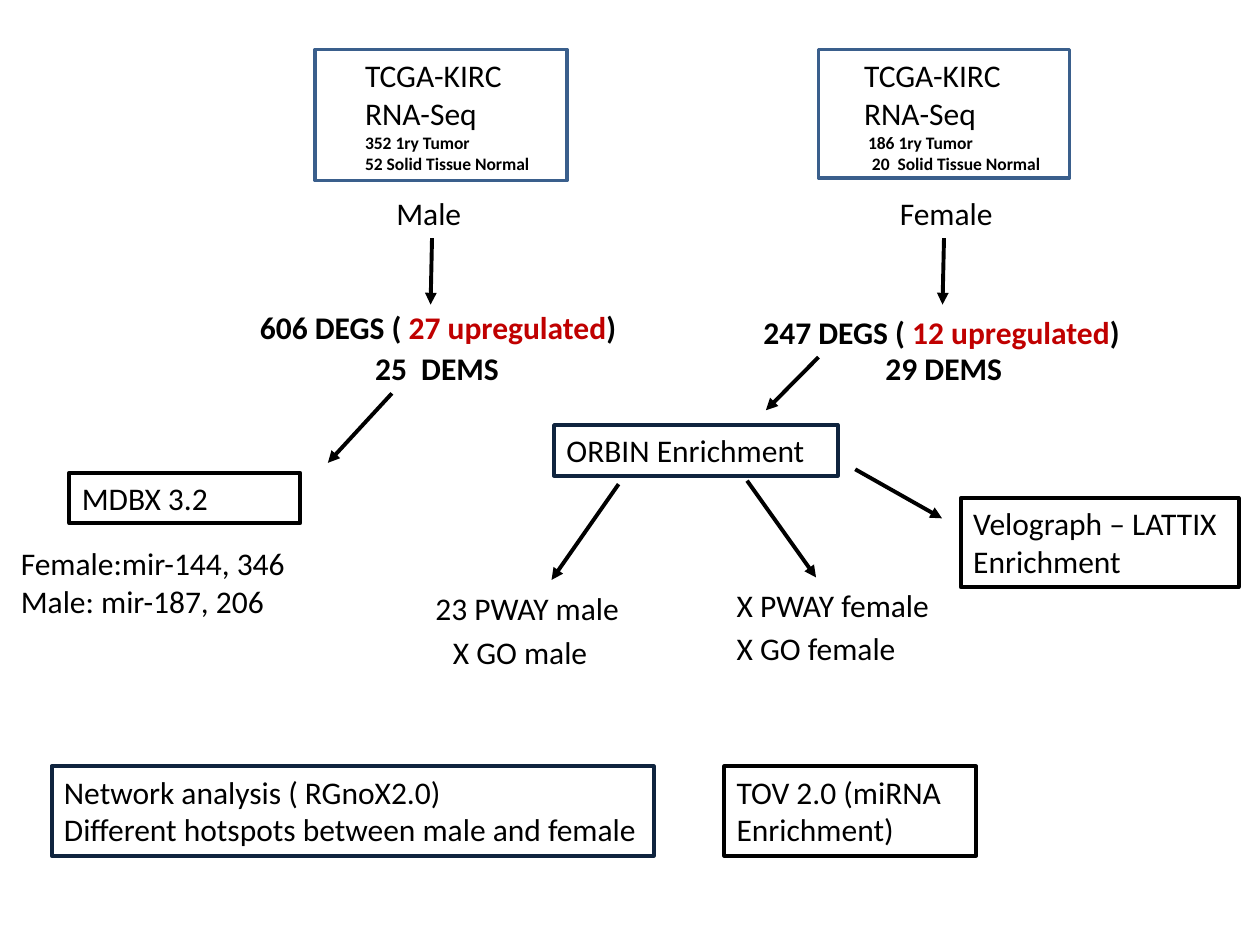
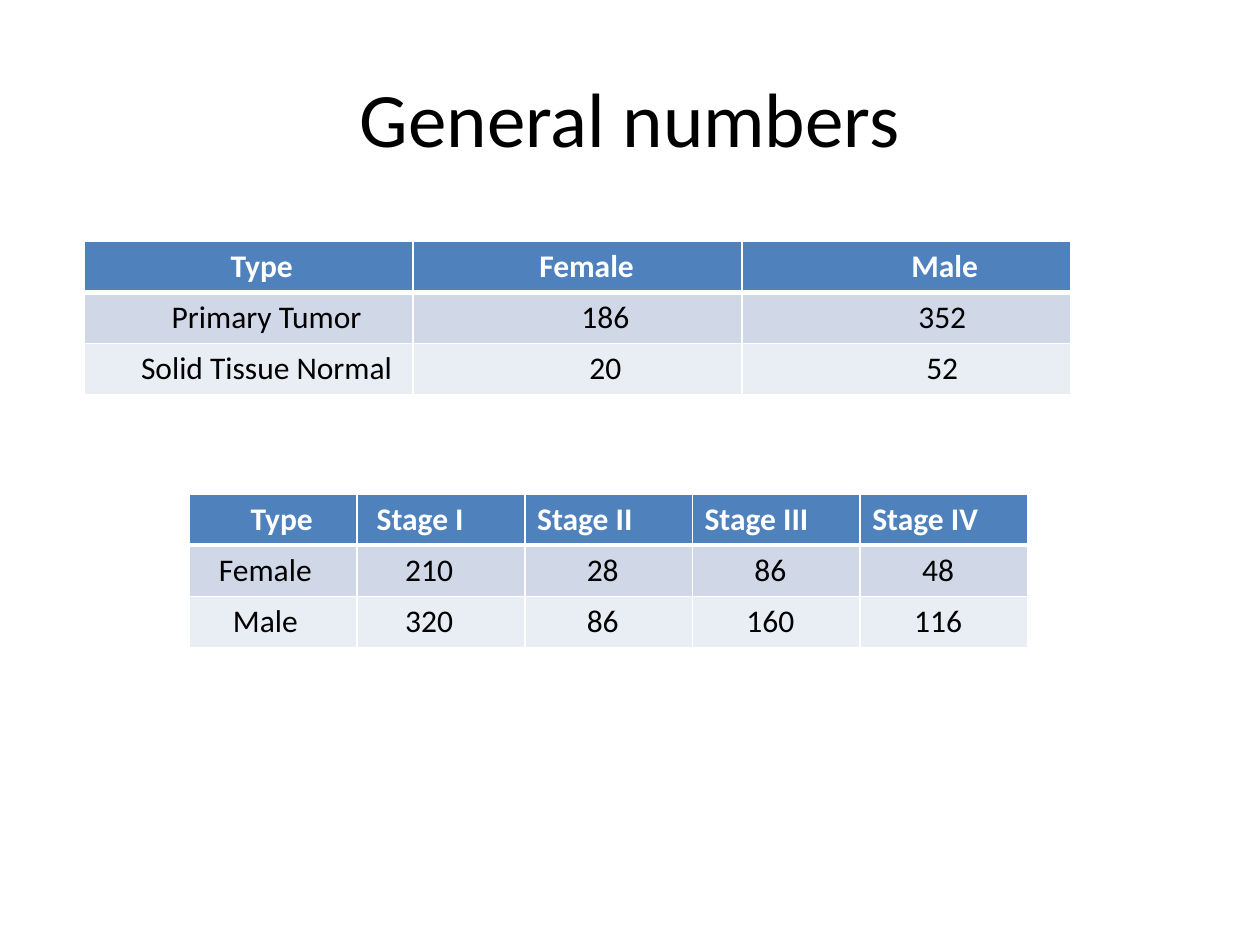
from lxml.etree import SubElement
from pptx import Presentation
from pptx.dml.color import RGBColor
from pptx.enum.shapes import MSO_CONNECTOR, MSO_SHAPE
from pptx.enum.text import MSO_ANCHOR, PP_ALIGN
from pptx.oxml.ns import qn
from pptx.util import Cm, Pt

BLACK = RGBColor(0x00, 0x00, 0x00)
WHITE = RGBColor(0xFF, 0xFF, 0xFF)
RED = RGBColor(0xC0, 0x00, 0x00)
STEEL = RGBColor(0x3A, 0x5F, 0x8C)
NAVY = RGBColor(0x0F, 0x24, 0x3E)
HEADER = RGBColor(0x4F, 0x81, 0xBD)
BANDS = (RGBColor(0xD0, 0xD8, 0xE8), RGBColor(0xE9, 0xED, 0xF4))
FONT = "Calibri"
LINE_HEIGHT = 1.02
TWO_LINES = 1.8
ROW_HEIGHT = 1.03
CELL_MARGIN = 0.1


def style_run(run, size=18, bold=False, color=BLACK):
    """Apply the shared font to a run."""
    run.font.name = FONT
    run.font.size = Pt(size)
    run.font.bold = bold
    run.font.color.rgb = color


def style_frame(frame, size=18, bold=False, align=PP_ALIGN.LEFT):
    """Format every paragraph of a text frame alike."""
    frame.word_wrap = True
    for paragraph in frame.paragraphs:
        paragraph.alignment = align
        for run in paragraph.runs:
            style_run(run, size, bold)


def add_label(slide, left, top, width, text, height=LINE_HEIGHT, size=18, bold=False):
    """Add a plain text label and return its frame."""
    frame = slide.shapes.add_textbox(Cm(left), Cm(top), Cm(width), Cm(height)).text_frame
    frame.text = text
    style_frame(frame, size, bold)
    return frame


def add_frame(slide, left, top, width, height, color=BLACK, text="", weight=2.25):
    """Add an outlined rectangle, with text when given."""
    frame = slide.shapes.add_shape(
        MSO_SHAPE.RECTANGLE, Cm(left), Cm(top), Cm(width), Cm(height))
    frame.shadow.inherit = False
    frame.fill.background()
    frame.line.color.rgb = color
    frame.line.width = Pt(weight)
    if text:
        frame.text_frame.text = text
        frame.text_frame.vertical_anchor = MSO_ANCHOR.TOP
        style_frame(frame.text_frame)


def add_arrow(slide, left, top, start, end):
    """Draw an arrow between two points relative to an origin."""
    arrow = slide.shapes.add_connector(
        MSO_CONNECTOR.STRAIGHT, Cm(left + start[0]), Cm(top + start[1]),
        Cm(left + end[0]), Cm(top + end[1]))
    arrow.line.color.rgb = BLACK
    arrow.line.width = Pt(2.25)
    properties = arrow._element.spPr
    SubElement(properties.find(qn("a:ln")), qn("a:tailEnd"), type="triangle")
    SubElement(properties, qn("a:effectLst"))


def add_cohort(slide, left, top, width, height, sex, samples, degs, upregulated, dems,
               source_dx, samples_dx, arrow_dx, degs_dy, dems_dx):
    """Place one cohort: its data source, sex and differential results."""
    add_frame(slide, left, top, width, height, STEEL, weight=2)
    add_label(slide, left + source_dx, top, 4.45, "TCGA-KIRC\nRNA-Seq", TWO_LINES)
    add_label(slide, left + samples_dx, top + 1.53, 4.2, samples, 1.12, 10, True)
    add_label(slide, left + 1.39, top + 2.78, 2.74, sex)
    add_arrow(slide, left, top, (arrow_dx, 3.8), (arrow_dx - 0.03, 5.14))
    degs_line = add_label(slide, left - 1.36, top + degs_dy, 7.82, f"{degs} DEGS ( ", bold=True)
    for text, color in ((f"{upregulated} upregulated", RED), (")", BLACK)):
        run = degs_line.paragraphs[0].add_run()
        run.text = text
        style_run(run, bold=True, color=color)
    add_label(slide, left + dems_dx, top + 5.92, 3.58, dems, bold=True)


def add_enrichment(slide, left, top):
    """Place the enrichment box with its arrows, counts and follow-up."""
    add_frame(slide, left, top, 5.72, LINE_HEIGHT, NAVY, "ORBIN Enrichment")
    for start, end in (((5.33, -1.37), (4.27, -0.3)), ((1.3, 1.19), (-0.05, 3.12)),
                       ((3.89, 1.12), (5.28, 3.07)), ((6.07, 0.89), (7.82, 1.88))):
        add_arrow(slide, left, top, start, end)
    for dx, dy, text in ((-2.64, 3.18, "23 PWAY male"), (-2.29, 4.06, "X GO male"),
                         (3.43, 3.12, "X PWAY female"), (3.43, 3.99, "X GO female")):
        add_label(slide, left + dx, top + dy, 4.42, text)
    add_frame(slide, left + 8.2, top + 1.47, 5.6, TWO_LINES,
              text="Velograph – LATTIX Enrichment")


def add_disease_mirnas(slide, left, top):
    """Place the disease database box and the miRNAs found with it."""
    add_arrow(slide, left, top, (6.5, -1.6), (5.21, -0.2))
    add_frame(slide, left, top, 4.65, LINE_HEIGHT, text="MDBX 3.2")
    add_label(slide, left - 1.23, top + 1.32, 7,
              "Female:mir-144, 346\nMale: mir-187, 206", TWO_LINES)


def add_further_analyses(slide, left, top):
    """Place the row of further analyses."""
    add_frame(slide, left, top, 12.14, TWO_LINES, NAVY,
              "Network analysis ( RGnoX2.0)\nDifferent hotspots between male and female")
    add_frame(slide, left + 13.56, top, 5.08, TWO_LINES, text="TOV 2.0 (miRNA Enrichment)")


def add_workflow_slide(deck):
    """Build the analysis workflow."""
    slide = deck.slides.add_slide(deck.slide_layouts[6])
    add_cohort(slide, 6.35, 1, 5.08, 2.64, "Male",
               "352 1ry Tumor\n52 Solid Tissue Normal", 606, 27, " 25  DEMS",
               source_dx=0.76, samples_dx=0.76, arrow_dx=2.36, degs_dy=5.08, dems_dx=0.82)
    add_cohort(slide, 16.5, 1, 5.06, 2.59, "Female",
               "186 1ry Tumor\n 20  Solid Tissue Normal", 247, 12, "29 DEMS",
               source_dx=0.67, samples_dx=0.75, arrow_dx=2.53, degs_dy=5.18, dems_dx=1.1)
    add_enrichment(slide, 11.17, 8.57)
    add_disease_mirnas(slide, 1.4, 9.53)
    add_further_analyses(slide, 1.04, 15.45)


def add_white_edge(cell, side, weight):
    """Draw one white edge of a filled cell."""
    properties = cell._tc.get_or_add_tcPr()
    edge = SubElement(properties, qn(f"a:{side}"), w=str(Pt(weight)))
    SubElement(SubElement(edge, qn("a:solidFill")), qn("a:srgbClr"), val=str(WHITE))
    properties.insert(0, edge)


def add_counts_table(slide, left, top, column_width, rows, header_shifts, body_shifts):
    """Add a banded table whose centred columns are shifted sideways."""
    columns = len(rows[0])
    table = slide.shapes.add_table(
        len(rows), columns, Cm(left), Cm(top),
        Cm(column_width * columns), Cm(ROW_HEIGHT * len(rows))).table
    for column in table.columns:
        column.width = Cm(column_width)
    for row_index, values in enumerate(rows):
        is_header = row_index == 0
        shifts = header_shifts if is_header else body_shifts
        for column_index, (value, shift) in enumerate(zip(values, shifts)):
            cell = table.cell(row_index, column_index)
            cell.text = value
            cell.margin_left = Cm(CELL_MARGIN + 2 * max(shift, 0))
            cell.margin_right = Cm(CELL_MARGIN + 2 * max(-shift, 0))
            cell.fill.solid()
            cell.fill.fore_color.rgb = HEADER if is_header else BANDS[(row_index - 1) % 2]
            add_white_edge(cell, "lnB", 3 if is_header else 1)
            add_white_edge(cell, "lnT", 3 if row_index == 1 else 1)
            paragraph = cell.text_frame.paragraphs[0]
            paragraph.alignment = PP_ALIGN.CENTER
            style_run(paragraph.runs[0], bold=is_header, color=WHITE if is_header else BLACK)


def add_numbers_slide(deck):
    """Build the sample and stage counts."""
    slide = deck.slides.add_slide(deck.slide_layouts[5])
    title = slide.shapes.title
    title.left, title.top, title.width, title.height = Cm(1.27), Cm(0.76), Cm(22.86), Cm(3.18)
    title.text_frame.text = "General numbers"
    title.text_frame.vertical_anchor = MSO_ANCHOR.MIDDLE
    style_frame(title.text_frame, 44, align=PP_ALIGN.CENTER)
    add_counts_table(slide, 1.7, 4.86, 6.63, (
        ("Type", "Female", "Male"),
        ("Primary Tumor", "186", "352"),
        ("Solid Tissue Normal", "20", "52"),
    ), (0.26, 0.18, 0.77), (0.36, 0.56, 0.72))
    add_counts_table(slide, 3.82, 9.96, 3.38, (
        ("Type", "Stage I", "Stage II", "Stage III", "Stage IV"),
        ("Female", "210", "28", "86", "48"),
        ("Male", "320", "86", "160", "116"),
    ), (0.17, -0.42, -0.48, -0.4, -0.38), (-0.16, -0.24, -0.12, -0.12, -0.12))


def main():
    """Build and save the deck."""
    deck = Presentation()
    deck.slide_width, deck.slide_height = Cm(25.4), Cm(19.05)
    add_workflow_slide(deck)
    add_numbers_slide(deck)
    deck.save("out.pptx")


if __name__ == "__main__":
    main()
